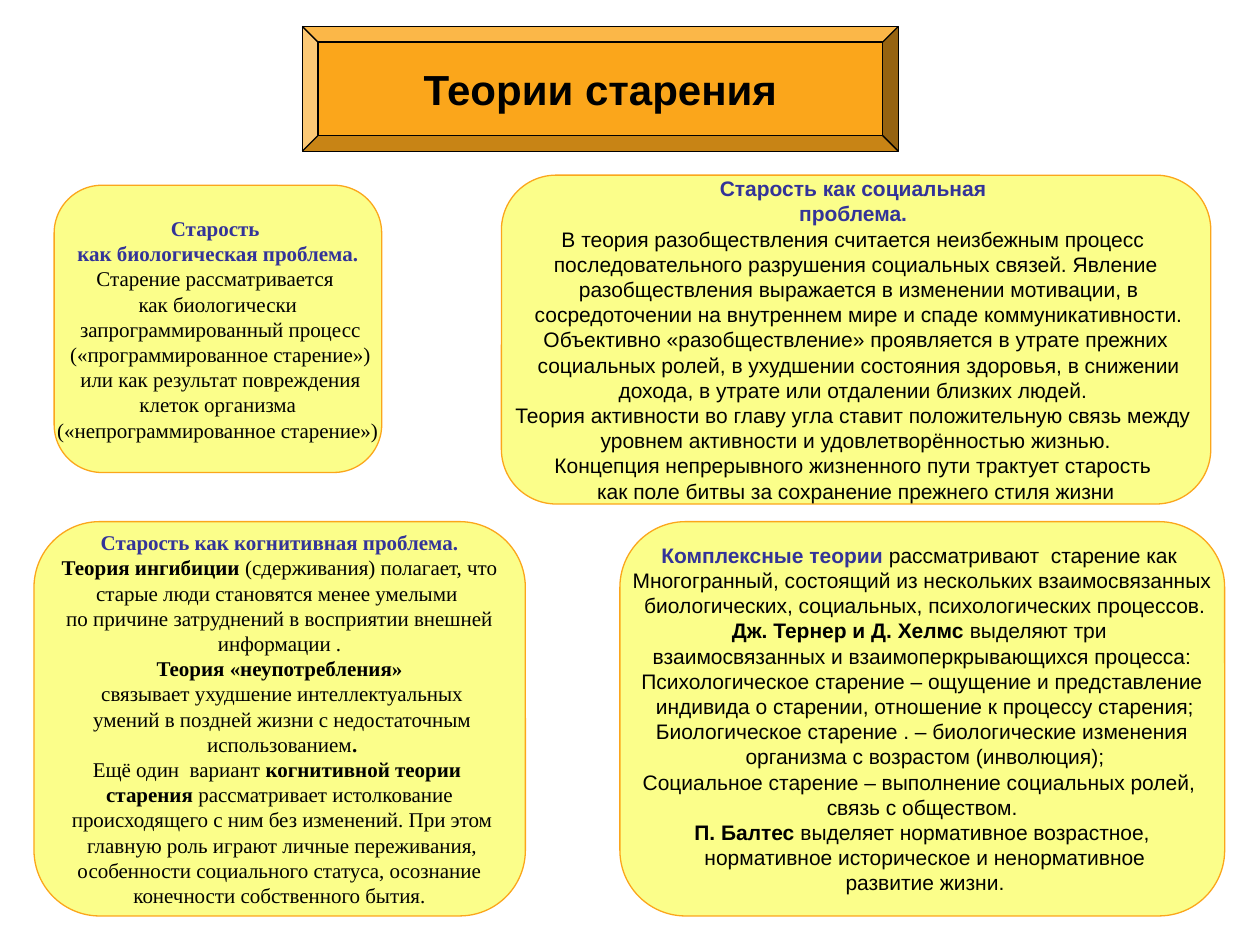
from pptx import Presentation
from pptx.dml.color import RGBColor
from pptx.enum.shapes import MSO_SHAPE
from pptx.enum.text import MSO_ANCHOR, PP_ALIGN
from pptx.util import Inches, Pt

BLACK = RGBColor(0x00, 0x00, 0x00)
ORANGE = RGBColor(0xFB, 0xA6, 0x1B)
YELLOW = RGBColor(0xFB, 0xFE, 0x8A)
INDIGO = RGBColor(0x33, 0x33, 0x99)

# Asterisks enclose bold text; a hash inside them marks a heading.
BIOLOGICAL = [
    "*#Старость *",
    "*#как биологическая проблема.*",
    "Старение рассматривается ",
    "как биологически",
    " запрограммированный процесс",
    " («программированное старение»)",
    " или как результат повреждения",
    " клеток организма ",
    "(«непрограммированное старение»)",
]
COMPLEX = [
    "*#Комплексные теории* рассматривают  старение как ",
    "Многогранный, состоящий из нескольких взаимосвязанных",
    " биологических, социальных, психологических процессов.",
    "*Дж. Тернер и Д. Хелмс* выделяют три ",
    "взаимосвязанных и взаимоперкрывающихся процесса:",
    "Психологическое старение – ощущение и представление",
    " индивида о старении, отношение к процессу старения;",
    "Биологическое старение . – биологические изменения",
    " организма с возрастом (инволюция);",
    "Социальное старение – выполнение социальных ролей, ",
    "связь с обществом.",
    "*П. Балтес* выделяет нормативное возрастное,",
    " нормативное историческое и ненормативное",
    " развитие жизни.",
]
COGNITIVE = [
    "*#Старость как когнитивная проблема.*",
    "*Теория ингибиции *(сдерживания) полагает, что",
    "старые люди становятся менее умелыми ",
    "по причине затруднений в восприятии внешней",
    " информации . ",
    "*Теория «неупотребления»*",
    " связывает ухудшение интеллектуальных",
    " умений в поздней жизни с недостаточным",
    " использованием*.*",
    "Ещё один  вариант *когнитивной теории *",
    "*старения* рассматривает истолкование",
    " происходящего с ним без изменений. При этом",
    " главную роль играют личные переживания,",
    " особенности социального статуса, осознание ",
    "конечности собственного бытия.",
]
SOCIAL = [
    "*#Старость как социальная *",
    "*#проблема. *",
    "В теория разобществления считается неизбежным процесс ",
    "последовательного разрушения социальных связей. Явление",
    " разобществления выражается в изменении мотивации, в",
    " сосредоточении на внутреннем мире и спаде коммуникативности.",
    "Объективно «разобществление» проявляется в утрате прежних",
    " социальных ролей, в ухудшении состояния здоровья, в снижении",
    "дохода, в утрате или отдалении близких людей. ",
    "Теория активности во главу угла ставит положительную связь между ",
    "уровнем активности и удовлетворённостью жизнью.",
    "Концепция непрерывного жизненного пути трактует старость ",
    "как поле битвы за сохранение прежнего стиля жизни",
]
THEORIES = [
    (0.43, 1.47, 2.6, 2.28, "Times New Roman", BIOLOGICAL),
    (4.92, 4.14, 4.8, 3.13, "Arial", COMPLEX),
    (0.27, 4.14, 3.9, 3.13, "Times New Roman", COGNITIVE),
    (3.98, 1.39, 5.63, 2.61, "Arial", SOCIAL),
]


def add_panel(page, preset, place, fill, line):
    panel = page.shapes.add_shape(preset, *[Inches(length) for length in place])
    panel.shadow.inherit = False
    panel.fill.solid()
    panel.fill.fore_color.rgb = fill
    panel.line.color.rgb = line
    panel.line.width = Pt(0.75)
    return panel


def format_paragraph(paragraph, font_name, size):
    paragraph.alignment = PP_ALIGN.CENTER
    paragraph.font.name = font_name
    paragraph.font.size = Pt(size)
    paragraph.font.color.rgb = BLACK


deck = Presentation()
deck.slide_width = Inches(10)
deck.slide_height = Inches(7.5)
page = deck.slides.add_slide(deck.slide_layouts[5])

plate = add_panel(page, MSO_SHAPE.BEVEL, (2.4, 0.21, 4.73, 0.99), ORANGE, BLACK)
title = page.shapes.title
title.left, title.top = plate.left, plate.top
title.width, title.height = plate.width, plate.height
title.text_frame.text = "Теории старения"
title.text_frame.vertical_anchor = MSO_ANCHOR.MIDDLE
format_paragraph(title.text_frame.paragraphs[0], "Arial", 24)
title.text_frame.paragraphs[0].font.bold = True
plate._element.addnext(title._element)

for left, top, width, height, font_name, lines in THEORIES:
    box = add_panel(page, MSO_SHAPE.ROUNDED_RECTANGLE,
                    (left, top, width, height), YELLOW, ORANGE)
    frame = box.text_frame
    frame.word_wrap = False
    frame.vertical_anchor = MSO_ANCHOR.MIDDLE
    for number, line in enumerate(lines):
        paragraph = frame.add_paragraph() if number else frame.paragraphs[0]
        format_paragraph(paragraph, font_name, 12)
        for index, part in enumerate(line.split("*")):
            if not part:
                continue
            span = paragraph.add_run()
            span.text = part.lstrip("#")
            span.font.bold = index % 2 == 1
            span.font.color.rgb = INDIGO if part.startswith("#") else BLACK

deck.save("out.pptx")
